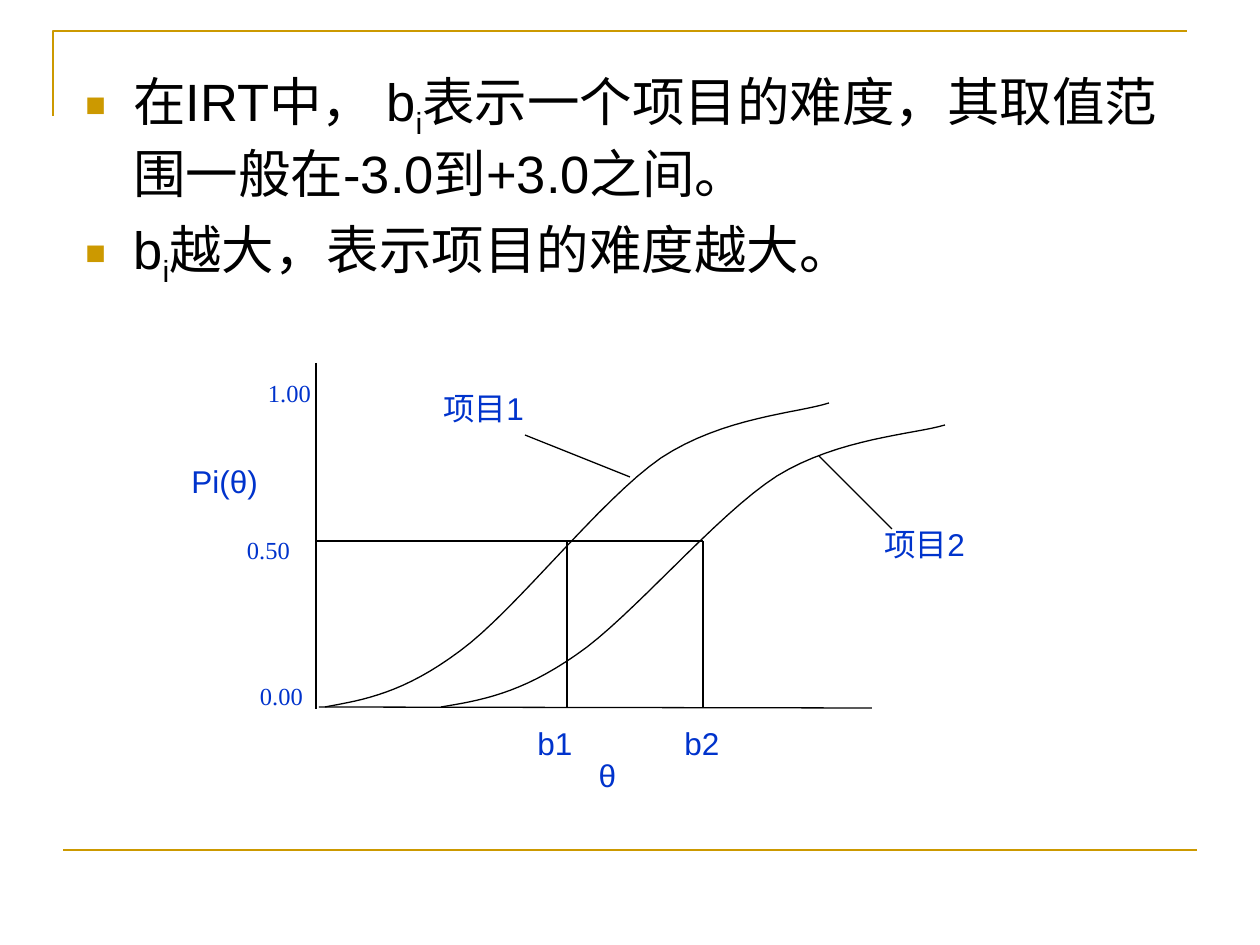
from collections import namedtuple
from lxml.etree import SubElement
from pptx import Presentation
from pptx.dml.color import RGBColor as Rgb
from pptx.enum.shapes import MSO_CONNECTOR as Conn
from pptx.enum.text import MSO_ANCHOR as Anchor, PP_ALIGN as Align
from pptx.oxml.ns import qn
from pptx.util import Emu, Pt

Theme = namedtuple("Theme", "gold ink blue sans serif body label tick rule thin")
Box = namedtuple("Box", "x y w h")
THEME = Theme("CC9900", "000000", "0033CC", "Arial", "Times New Roman", 30, 18, 14, 1.5, 0.75)
SCALE = 914400 / 126
STEPS = 16
CURVE = [(0, 304), (39, 297), (79, 290), (135, 248), (190, 208),
         (275, 97), (336, 55), (398, 14), (474, 10), (504, 0)]


def px(n):
    """Turn px into EMU."""
    return Emu(round(n * SCALE))


def inset(box, x, y, w=0, h=0):
    """Give a box placed relative to another box."""
    return Box(box.x + x, box.y + y, w, h)


def pen(shape, color, width):
    """Set the line of a shape."""
    shape.line.color.rgb = Rgb.from_string(color)
    shape.line.width = Pt(width)


def line(shapes, box, ends, color, width):
    """Draw a straight line between two points of a box."""
    x1, y1, x2, y2 = ends
    link = shapes.add_connector(Conn.STRAIGHT, px(box.x + x1), px(box.y + y1),
                                px(box.x + x2), px(box.y + y2))
    pen(link, color, width)
    SubElement(link._element.spPr, qn("a:effectLst"))


def trace(shapes, box, dots, color, width):
    """Draw an open outline through points of a box."""
    dots = [(px(box.x + x), px(box.y + y)) for x, y in dots]
    build = shapes.build_freeform(*dots[0])
    build.add_line_segments(dots[1:], close=False)
    shape = build.convert_to_shape()
    shape.fill.background()
    shape.shadow.inherit = False
    pen(shape, color, width)


def write(para, text, font, size, color, sub=False):
    """Add one run of text."""
    run = para.add_run()
    run.text = text
    run.font.name = font
    run.font.size = Pt(size)
    run.font.color.rgb = Rgb.from_string(color)
    if sub:
        run.font._element.set("baseline", "-25000")


def area(shapes, box):
    """Add an empty wrapping text box and return its frame."""
    frame = shapes.add_textbox(*map(px, box)).text_frame
    frame.word_wrap = True
    frame.vertical_anchor = Anchor.TOP
    return frame


def bullet(para, color):
    """Give a paragraph a square bullet and a hanging indent."""
    props = para._p.get_or_add_pPr()
    props.set("marL", str(px(48)))
    props.set("indent", str(px(-48)))
    SubElement(SubElement(props, qn("a:buClr")), qn("a:srgbClr"), val=color)
    SubElement(props, qn("a:buSzPct"), val="65000")
    SubElement(props, qn("a:buFont"), typeface=THEME.sans)
    SubElement(props, qn("a:buChar"), char="■")


def border(shapes, box):
    """Draw the gold corner and the bottom rule."""
    trace(shapes, box, [(0, 85), (0, 0), (1134, 0)], THEME.gold, THEME.rule)
    line(shapes, box, (10, box.h, box.w, box.h), THEME.gold, THEME.rule)


def points(shapes, box, items):
    """Write the bullet list, with the middle run of each item lowered."""
    frame = area(shapes, box)
    for i, item in enumerate(items):
        para = frame.add_paragraph() if i else frame.paragraphs[0]
        bullet(para, THEME.gold)
        if i:
            para.space_before = Pt(7.5)
        for text, sub in zip(item, (False, True, False)):
            write(para, text, THEME.sans, THEME.body, THEME.ink, sub)


def label(shapes, box, text, font, size, align=Align.LEFT):
    """Write one blue label."""
    para = area(shapes, box).paragraphs[0]
    para.alignment = align
    write(para, text, font, size, THEME.blue)


def bend(dots):
    """Sample a chain of cubic curves."""
    out = [dots[0]]
    for i in range(0, len(dots) - 1, 3):
        part = dots[i:i + 4]
        for k in range(1, STEPS + 1):
            t = k / STEPS
            mix = ((1 - t) ** 3, 3 * t * (1 - t) ** 2, 3 * t * t * (1 - t), t ** 3)
            out.append(tuple(sum(m * d[a] for m, d in zip(mix, part)) for a in (0, 1)))
    return out


def plot(shapes, box):
    """Draw the two item curves with axes, guides and labels."""
    group = shapes.add_group_shape().shapes
    axes = [(140, 344, 693, 345), (137, 0, 137, 346)]
    guides = [(136, 178, 524, 178)] + [(x, 178, x, 345) for x in (388, 524)]
    leads = [(346, 72, 451, 114), (640, 93, 713, 166)]
    for ends in axes + guides + leads:
        line(group, box, ends, THEME.ink, THEME.thin)
    for x, y, tall in ((146, 40, 304), (262, 62, 282)):
        dots = [(a, b * tall / 304) for a, b in CURVE]
        trace(group, inset(box, x, y), bend(dots), THEME.ink, THEME.thin)
    for text, x, y in (("1.00", 63, 9), ("0.50", 42, 166), ("0.00", 55, 312)):
        label(group, inset(box, x, y, 95, 43), text, THEME.serif, THEME.tick, Align.CENTER)
    for text, x, y, w in (("Pi(θ)", 0, 93, 116), ("b1", 346, 355, 84), ("b2", 493, 355, 63),
                          ("项目1", 252, 20, 126), ("项目2", 693, 156, 116)):
        label(group, inset(box, x, y, w, 50), text, THEME.sans, THEME.label)
    label(group, inset(box, 199, 387, 459, 50), "θ", THEME.sans, THEME.label, Align.CENTER)


def main():
    """Build and save the slide."""
    deck = Presentation()
    deck.slide_width, deck.slide_height = px(1260), px(945)
    shapes = deck.slides.add_slide(deck.slide_layouts[6]).shapes
    border(shapes, Box(53, 31, 1144, 819))
    points(shapes, Box(73, 63, 1124, 273), [
        ("在IRT中， b", "i", "表示一个项目的难度，其取值范围一般在-3.0到+3.0之间。"),
        ("b", "i", "越大，表示项目的难度越大。"),
    ])
    plot(shapes, Box(179, 363, 809, 437))
    deck.save("out.pptx")


if __name__ == "__main__":
    main()
